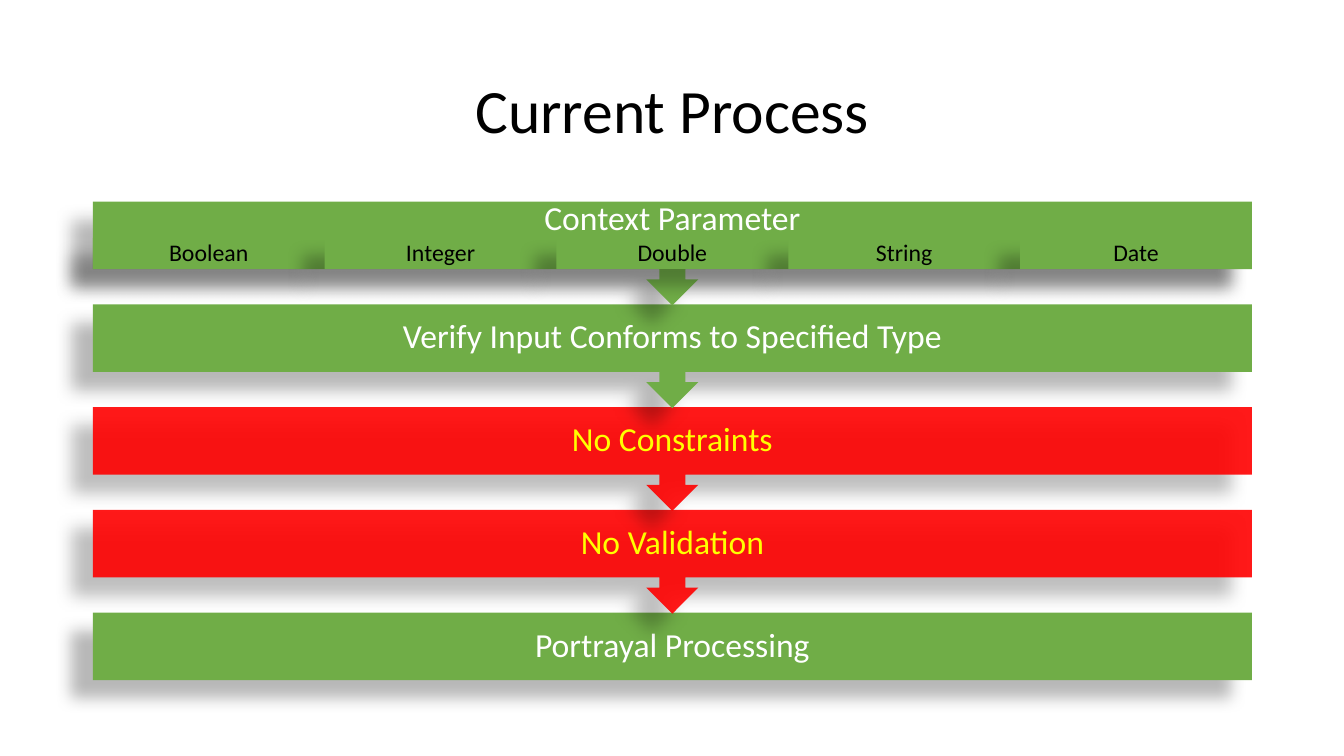
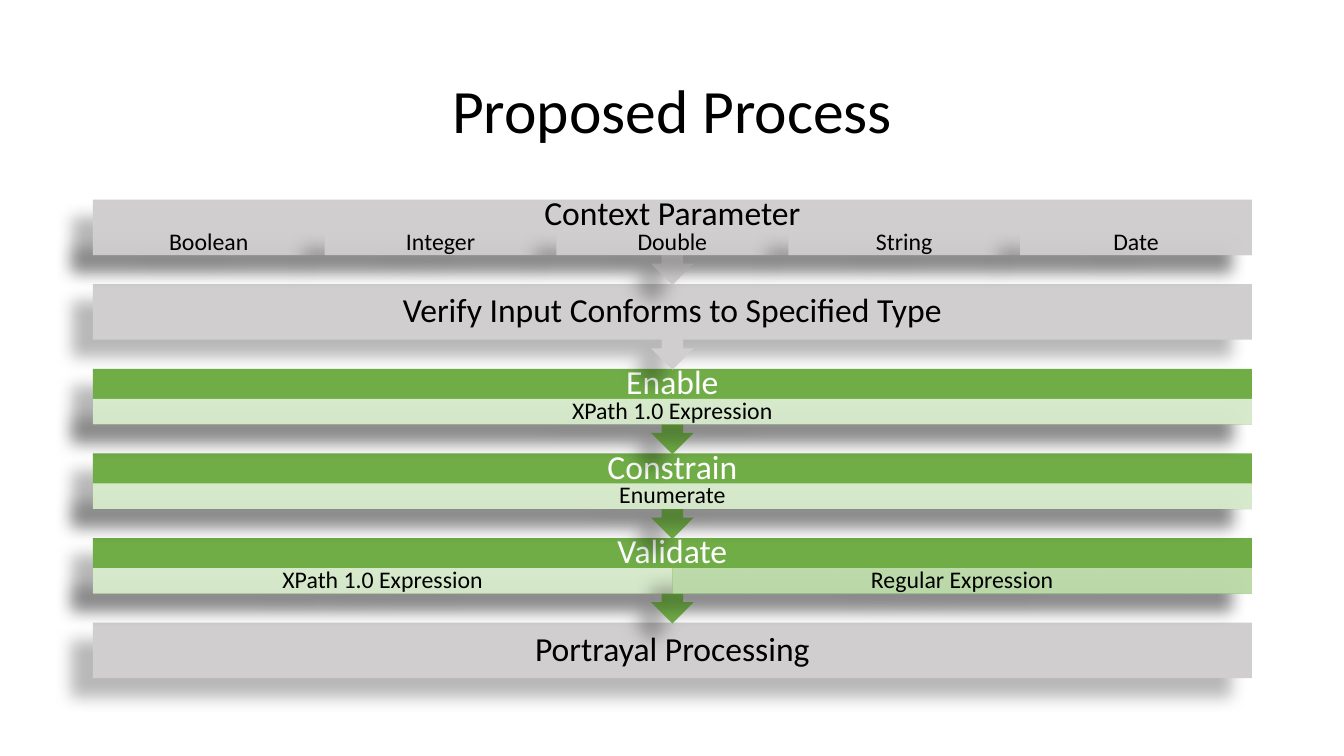
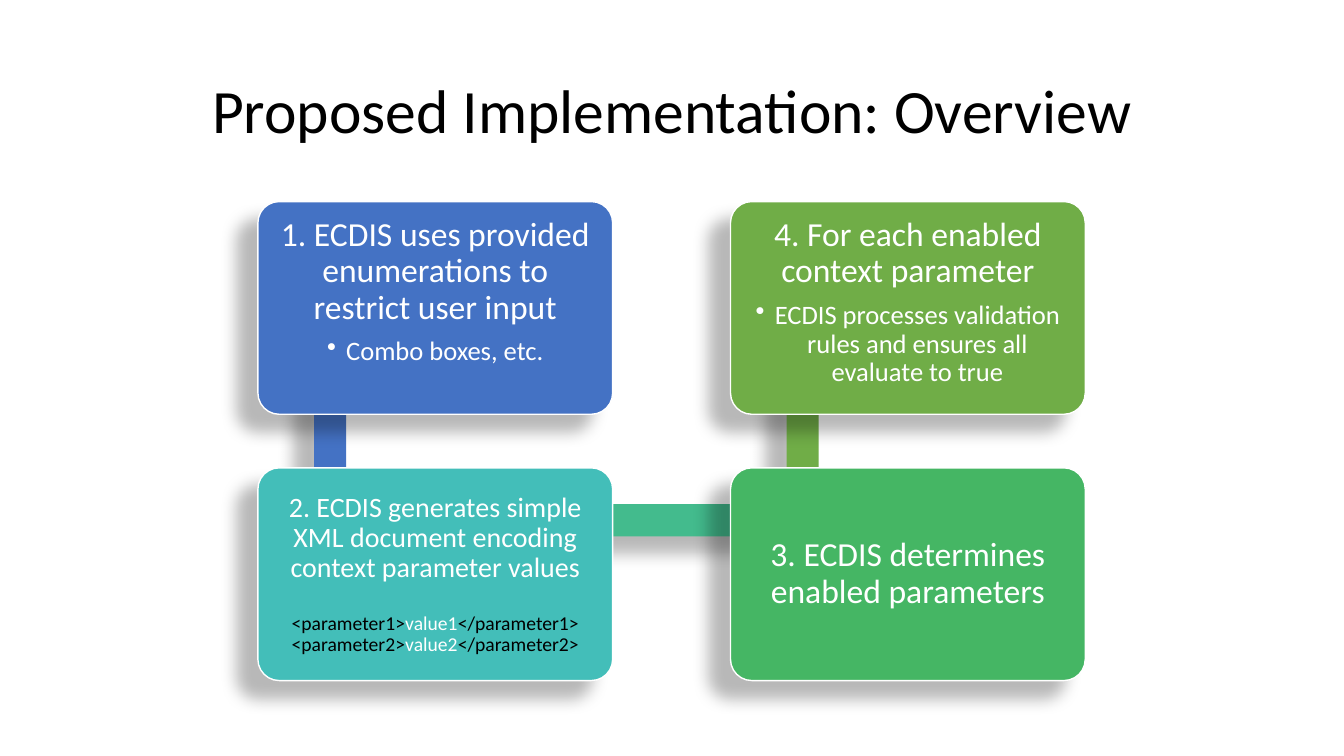
from dataclasses import dataclass
from itertools import pairwise

from lxml.etree import SubElement
from pptx import Presentation
from pptx.dml.color import RGBColor
from pptx.enum.shapes import MSO_SHAPE as Preset
from pptx.enum.text import MSO_ANCHOR as Anchor, MSO_AUTO_SIZE as AutoSize, PP_ALIGN as Align
from pptx.oxml.ns import qn
from pptx.util import Cm, Pt


@dataclass(frozen=True)
class Theme:
    font: str = "Calibri"
    black: str = "000000"
    white: str = "FFFFFF"
    yellow: str = "FFFF00"
    red: str = "FF0000"
    grey: str = "D0CECE"
    green: str = "70AD47"
    pale: str = "E2F0D9"
    soft: str = "C5E0B4"
    blue: str = "4472C4"
    teal: str = "43BEB9"
    sea: str = "43BB8D"
    emerald: str = "45B664"
    title: int = 44
    heading: int = 24
    lead: int = 20
    detail: int = 19
    option: int = 17
    code: int = 14


@dataclass(frozen=True)
class Look:
    fill: str
    ink: str
    opacity: int = 100


THEME = Theme()
PRESENT = Look(THEME.green, THEME.white)
PRESENT_TYPE = Look(THEME.green, THEME.black)
MISSING = Look(THEME.red, THEME.yellow, 90)
KEPT = Look(THEME.grey, THEME.black)
KEPT_TYPE = Look(THEME.grey, THEME.black, 90)
RULE = Look(THEME.pale, THEME.black, 90)
SECOND_RULE = Look(THEME.soft, THEME.black, 90)

TYPES = ["Boolean", "Integer", "Double", "String", "Date"]
PROCESSES = [
    {
        "title": "Current Process", "top": 5.08, "height": 1.7,
        "stages": [
            ("Context Parameter", PRESENT, [(name, PRESENT_TYPE) for name in TYPES]),
            ("Verify Input Conforms to Specified Type", PRESENT, []),
            ("No Constraints", MISSING, []),
            ("No Validation", MISSING, []),
            ("Portrayal Processing", PRESENT, []),
        ],
    },
    {
        "title": "Proposed Process", "top": 5.03, "height": 1.4,
        "stages": [
            ("Context Parameter", KEPT, [(name, KEPT_TYPE) for name in TYPES]),
            ("Verify Input Conforms to Specified Type", KEPT, []),
            ("Enable", PRESENT, [("XPath 1.0 Expression", RULE)]),
            ("Constrain", PRESENT, [("Enumerate", RULE)]),
            ("Validate", PRESENT, [("XPath 1.0 Expression", RULE),
                                   ("Regular Expression", SECOND_RULE)]),
            ("Portrayal Processing", KEPT, []),
        ],
    },
]


def text_line(text, size, color=THEME.white, after=0, bullet=False):
    return {"spans": [(text, color)], "size": size, "after": after, "bullet": bullet}


def xml_line(tag, value):
    spans = [(f"<{tag}>", THEME.black), (value, THEME.white), (f"</{tag}>", THEME.black)]
    return {"spans": spans, "size": THEME.code, "after": 0, "bullet": False}


OVERVIEW = "Proposed Implementation: Overview"
CARDS = [
    {"cell": (0, 0), "fill": THEME.blue, "bar": THEME.blue, "anchor": Anchor.TOP, "lines": [
        text_line("1. ECDIS uses provided enumerations to restrict user input", THEME.heading, after=8),
        text_line("Combo boxes, etc.", THEME.detail, bullet=True)]},
    {"cell": (0, 1), "fill": THEME.teal, "bar": THEME.sea, "anchor": Anchor.MIDDLE, "lines": [
        text_line("2. ECDIS generates simple XML document encoding context parameter values",
                  THEME.lead, after=21),
        xml_line("parameter1", "value1"),
        xml_line("parameter2", "value2")]},
    {"cell": (1, 1), "fill": THEME.emerald, "bar": THEME.green, "anchor": Anchor.MIDDLE, "lines": [
        text_line("3. ECDIS determines enabled parameters", THEME.heading)]},
    {"cell": (1, 0), "fill": THEME.green, "bar": None, "anchor": Anchor.TOP, "lines": [
        text_line("4. For each enabled context parameter", THEME.heading, after=8),
        text_line("ECDIS processes validation rules and ensures all evaluate to true",
                  THEME.detail, bullet=True)]},
]

LEFT, WIDTH = 2.34, 29.21
TITLE_BOX = (LEFT, 1.02, WIDTH, 3.68)
BOX_SHARE, HEADER_SHARE, PITCH_SHARE = 0.65, 0.54, 0.99
CARD_LEFT, CARD_TOP, CARD_WIDTH, CARD_HEIGHT = 6.5, 5.08, 8.94, 5.36
CARD_STEP_X, CARD_STEP_Y = 11.91, 6.71
NODE_X, NODE_Y, BAR = 1.82, 1.32, 0.81


def assign(target, values):
    for name, value in values.items():
        setattr(target, name, value)


def write(shape, lines, anchor=Anchor.MIDDLE, insets=(0.25, 0.25, 0.25, 0.25)):
    frame = shape.text_frame
    sides = ("margin_left", "margin_top", "margin_right", "margin_bottom")
    assign(frame, {"word_wrap": True, "auto_size": AutoSize.NONE, "vertical_anchor": anchor})
    assign(frame, {side: Cm(inset) for side, inset in zip(sides, insets)})
    for index, line in enumerate(lines):
        para = frame.paragraphs[0] if index == 0 else frame.add_paragraph()
        assign(para, {"alignment": Align.CENTER, "line_spacing": 0.9,
                      "space_before": Pt(0), "space_after": Pt(line["after"])})
        for text, color in line["spans"]:
            span = para.add_run()
            span.text = text
            assign(span.font, {"name": THEME.font, "size": Pt(line["size"])})
            span.font.color.rgb = RGBColor.from_string(color)
        if line["bullet"]:
            props = para._p.get_or_add_pPr()
            props.set("marL", str(Cm(0.48)))
            props.set("indent", str(-Cm(0.48)))
            SubElement(props, qn("a:buChar"), char="•")


def add_block(page, preset, place, fill, opacity=100, outline=None):
    shape = page.shapes.add_shape(preset, *map(Cm, place))
    shape.fill.solid()
    shape.fill.fore_color.rgb = RGBColor.from_string(fill)
    if outline:
        shape.line.color.rgb = RGBColor.from_string(outline)
        shape.line.width = Pt(1)
    else:
        shape.line.fill.background()
    shape.shadow.inherit = False
    props = shape._element.spPr
    if opacity < 100:
        color = props.find(qn("a:solidFill")).find(qn("a:srgbClr"))
        SubElement(color, qn("a:alpha"), val=str(opacity * 1000))
    shadow = SubElement(props.find(qn("a:effectLst")), qn("a:outerShdw"),
                        blurRad=str(Pt(11.8)), dist=str(Pt(19.7)),
                        dir=str(141 * 60000), rotWithShape="0")
    tint = SubElement(shadow, qn("a:srgbClr"), val=THEME.black)
    SubElement(tint, qn("a:alpha"), val="28000")
    return shape


def add_page(deck, title):
    page = deck.slides.add_slide(deck.slide_layouts[5])
    box = page.shapes.title
    assign(box, dict(zip(("left", "top", "width", "height"), map(Cm, TITLE_BOX))))
    write(box, [text_line(title, THEME.title, THEME.black)])
    return page


def add_process(deck, process):
    page = add_page(deck, process["title"])
    height, stages = process["height"], process["stages"]
    callout = height / BOX_SHARE
    header = height * HEADER_SHARE
    for index, (label, look, options) in reversed(list(enumerate(stages))):
        top = process["top"] + index * callout * PITCH_SHARE
        last = index == len(stages) - 1
        preset = Preset.RECTANGLE if last else Preset.DOWN_ARROW_CALLOUT
        place = (LEFT, top, WIDTH, height if last else callout)
        stage = add_block(page, preset, place, look.fill, look.opacity)
        if not last:
            stage.adjustments[3] = BOX_SHARE
        below = height - header if options else 0
        write(stage, [text_line(label, THEME.heading, look.ink)], insets=(0.48, 0, 0.48, below))
        for column, (name, tone) in enumerate(options):
            width = WIDTH / len(options)
            place = (LEFT + column * width, top + header, width, height - header)
            option = add_block(page, Preset.RECTANGLE, place, tone.fill, tone.opacity)
            write(option, [text_line(name, THEME.option, tone.ink)], insets=(0.33, 0.05, 0.33, 0.05))


def card_corner(card):
    column, row = card["cell"]
    return CARD_LEFT + column * CARD_STEP_X, CARD_TOP + row * CARD_STEP_Y


def add_bar(page, card, following):
    (x1, y1), (x2, y2) = card_corner(card), card_corner(following)
    across, down = abs(x2 - x1), abs(y2 - y1)
    left, top = min(x1, x2) + NODE_X, min(y1, y2) + NODE_Y
    if across:
        place = (left, top - BAR / 2, across, BAR)
    else:
        place = (left - BAR / 2, top, BAR, down)
    add_block(page, Preset.RECTANGLE, place, card["bar"])


def add_card(page, card):
    place = (*card_corner(card), CARD_WIDTH, CARD_HEIGHT)
    box = add_block(page, Preset.ROUNDED_RECTANGLE, place, card["fill"], outline=THEME.white)
    box.adjustments[0] = 0.1
    write(box, card["lines"], card["anchor"])


def add_overview(deck):
    page = add_page(deck, OVERVIEW)
    for card, following in pairwise(CARDS):
        add_bar(page, card, following)
        add_card(page, card)
    add_card(page, CARDS[-1])


def main():
    deck = Presentation()
    assign(deck, {"slide_width": Cm(33.87), "slide_height": Cm(19.05)})
    for process in PROCESSES:
        add_process(deck, process)
    add_overview(deck)
    deck.save("out.pptx")


if __name__ == "__main__":
    main()
